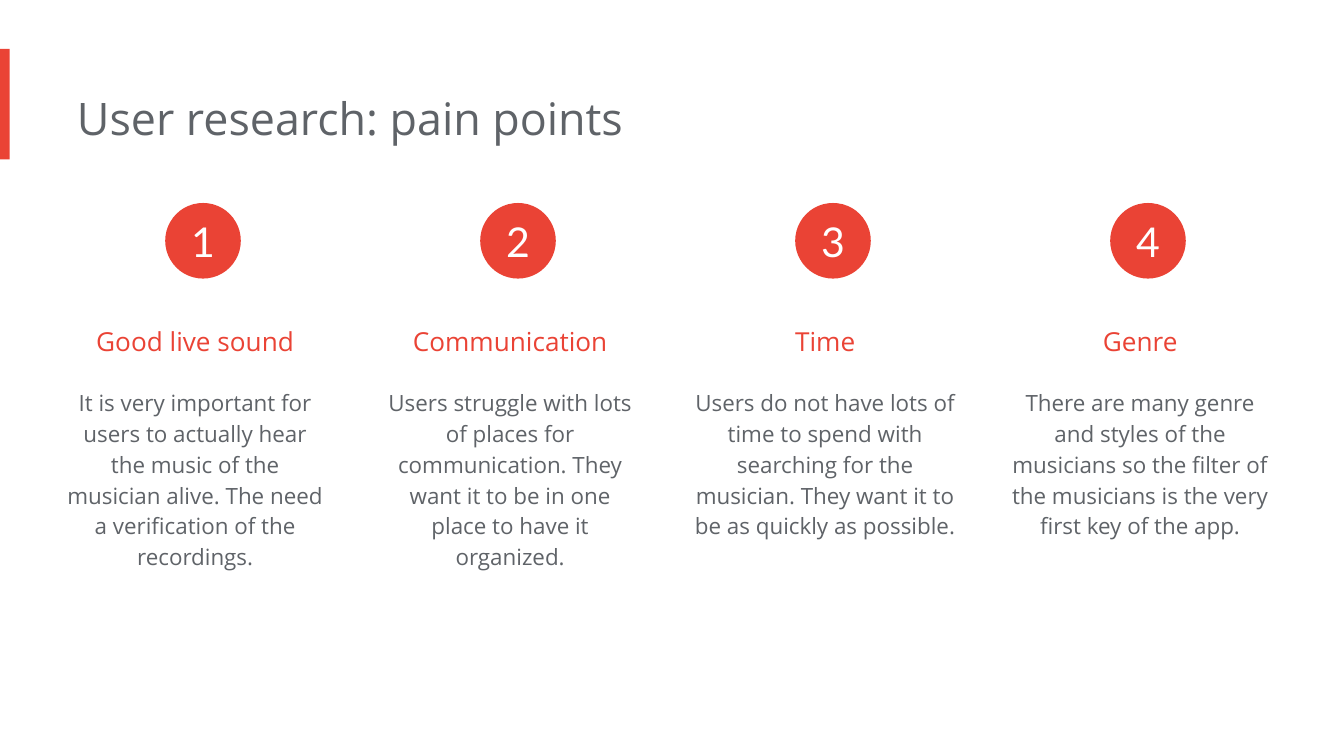
from pptx import Presentation
from pptx.dml.color import RGBColor
from pptx.enum.shapes import MSO_SHAPE
from pptx.enum.text import MSO_ANCHOR, MSO_AUTO_SIZE, PP_ALIGN
from pptx.util import Pt

RECTANGLE, OVAL = MSO_SHAPE.RECTANGLE, MSO_SHAPE.OVAL
TOP, MIDDLE = MSO_ANCHOR.TOP, MSO_ANCHOR.MIDDLE
LEFT, CENTER = PP_ALIGN.LEFT, PP_ALIGN.CENTER
GROW = MSO_AUTO_SIZE.SHAPE_TO_FIT_TEXT
EMU_PER_PX = 9525
TITLE_ONLY = 5

COLUMN_LEFT = 46
COLUMN_STEP = 225
COLUMN_WIDTH = 197
BADGE_OFFSET = 72
BADGE_SIZE = 54

PAIN_POINTS = [
    ("Good live sound",
     "It is very important for users to actually hear the music of the "
     "musician alive. The need a verification of the recordings.", 151),
    ("Communication",
     "Users struggle with lots of places for communication. They want it "
     "to be in one place to have it organized.", 151),
    ("Time",
     "Users do not have lots of time to spend with searching for the "
     "musician. They want it to be as quickly as possible.", 128),
    ("Genre",
     "There are many genre and styles of the musicians so the filter of "
     "the musicians is the very first key of the app.", 128),
]


def px(length):
    return length * EMU_PER_PX


def color(value):
    return RGBColor.from_string(value)


class SlideBuilder:
    accent = "EA4335"
    gray = "5F6368"
    white = "FFFFFF"
    text_font = "Open Sans"
    number_font = "Lato"

    def __init__(self, page):
        self.page = page
        fill = page.background.fill
        fill.solid()
        fill.fore_color.rgb = color(self.white)

    def add_span(self, box, text, size, tone, font, align, spacing=1.0):
        para = box.text_frame.paragraphs[0]
        para.alignment = align
        para.line_spacing = spacing
        span = para.add_run()
        span.text = text
        span.font.size = Pt(size)
        span.font.name = font
        span.font.color.rgb = color(tone)

    def frame(self, box, side, edge, anchor):
        frame = box.text_frame
        frame.word_wrap = True
        frame.vertical_anchor = anchor
        frame.margin_left = px(side)
        frame.margin_right = frame.margin_top = frame.margin_bottom = px(edge)
        return frame

    def title(self, text, left, top, width, height):
        box = self.page.shapes.title
        box.left, box.top = px(left), px(top)
        box.width, box.height = px(width), px(height)
        self.frame(box, 0, 10, TOP).auto_size = GROW
        self.add_span(box, text, 24, self.gray, self.text_font, LEFT)

    def text(self, text, left, top, width, height, size, tone, spacing):
        box = self.page.shapes.add_textbox(px(left), px(top), px(width), px(height))
        self.frame(box, 0, 10, TOP).auto_size = GROW
        self.add_span(box, text, size, tone, self.text_font, CENTER, spacing)

    def shape(self, kind, left, top, width, height):
        box = self.page.shapes.add_shape(kind, px(left), px(top), px(width), px(height))
        box.shadow.inherit = False
        box.fill.solid()
        box.fill.fore_color.rgb = color(self.accent)
        box.line.fill.background()
        return box

    def badge(self, number, left, top, size):
        box = self.shape(OVAL, left, top, size, size)
        self.frame(box, 0, 0, MIDDLE)
        self.add_span(box, str(number), 22, self.white, self.number_font, CENTER)


def main():
    deck = Presentation()
    deck.slide_width, deck.slide_height = px(960), px(540)
    slide = SlideBuilder(deck.slides.add_slide(deck.slide_layouts[TITLE_ONLY]))

    slide.shape(RECTANGLE, 0, 35, 7, 79)
    slide.title("User research: pain points", 55, 55, 646, 59)
    for index, (heading, detail, height) in enumerate(PAIN_POINTS):
        left = COLUMN_LEFT + index * COLUMN_STEP
        slide.text(heading, left, 211, COLUMN_WIDTH, 42, 14, slide.accent, 1.5)
        slide.text(detail, left, 265, COLUMN_WIDTH, height, 12, slide.gray, 1.15)
        slide.badge(index + 1, left + BADGE_OFFSET, 145, BADGE_SIZE)

    deck.save("out.pptx")


if __name__ == "__main__":
    main()
